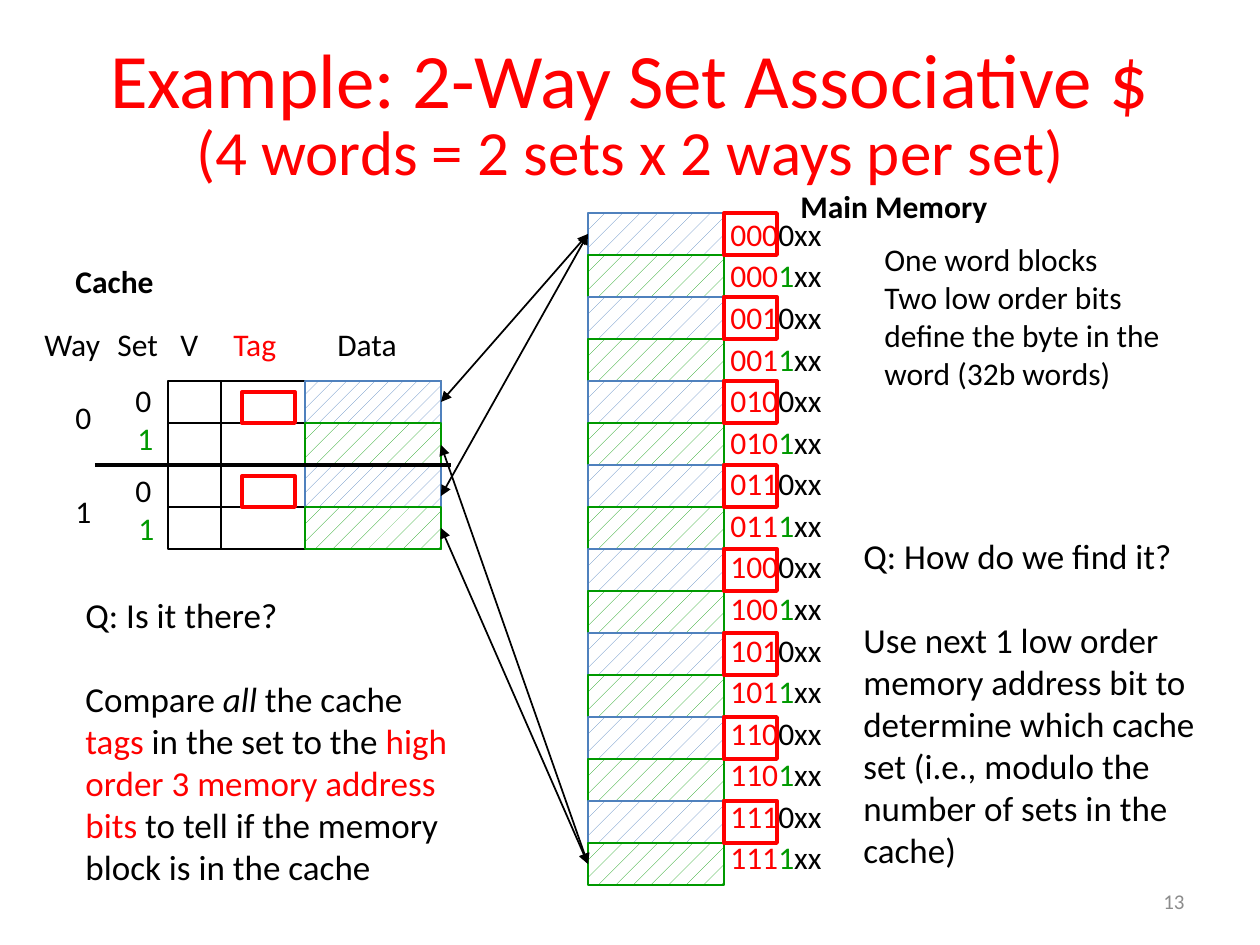
import pptx
import pptx.dml.color
import pptx.enum.dml
import pptx.enum.shapes
import pptx.enum.text
import pptx.oxml
import pptx.oxml.ns
import pptx.util

PX = 914400 // 126
THEME = {
    "font": "Calibri",
    "black": "000000", "red": "FF0000", "green": "009900",
    "blue": "4F81BD", "white": "FFFFFF", "gray": "8C8C8C",
    "title": 44, "subtitle": 36, "body": 20, "label": 18, "number": 12,
    "thin": 1, "thick": 2.25,
}
PATTERN = pptx.enum.dml.MSO_PATTERN
RED = {"color": "red"}
GREEN = {"color": "green"}

presentation = pptx.Presentation()
presentation.slide_width = 1260 * PX
presentation.slide_height = 945 * PX
slide = presentation.slides.add_slide(presentation.slide_layouts[6])
shapes = slide.shapes


def color_of(name):
    return pptx.dml.color.RGBColor.from_string(THEME[name])


def add_text(text, box, size="label", color="black", bold=None, align="LEFT",
             anchor="TOP", wrap=True, grow=True, spacing=None, gap=0):
    """text is a string, or a list of paragraphs made of (words, format) runs."""
    frame = shapes.add_textbox(*(value * PX for value in box)).text_frame
    frame.word_wrap = wrap
    if grow:
        frame.auto_size = pptx.enum.text.MSO_AUTO_SIZE.SHAPE_TO_FIT_TEXT
    frame.vertical_anchor = pptx.enum.text.MSO_ANCHOR[anchor]
    paragraphs = [[(text, {})]] if isinstance(text, str) else text
    for index, runs in enumerate(paragraphs):
        paragraph = frame.add_paragraph() if index else frame.paragraphs[0]
        paragraph.alignment = pptx.enum.text.PP_ALIGN[align]
        if spacing:
            paragraph.line_spacing = spacing
        if index and gap:
            paragraph.space_before = pptx.util.Pt(gap)
        for words, style in runs:
            if words == "\n":
                paragraph.add_line_break()
                continue
            run = paragraph.add_run()
            run.text = words
            run.font.name = THEME["font"]
            run.font.size = pptx.util.Pt(THEME[style.get("size", size)])
            run.font.color.rgb = color_of(style.get("color", color))
            run.font.bold = bold
            run.font.italic = style.get("italic")


def draw(box, color="black", width="thin", line=False, pattern=None, arrows=False):
    """Draw a rectangle (left, top, width, height) or a line (x1, y1, x2, y2)."""
    lengths = [value * PX for value in box]
    if line:
        shape = shapes.add_connector(pptx.enum.shapes.MSO_CONNECTOR.STRAIGHT, *lengths)
        pptx.oxml.ns.qn("a:effectLst")
    else:
        shape = shapes.add_shape(pptx.enum.shapes.MSO_SHAPE.RECTANGLE, *lengths)
        shape.shadow.inherit = False
        if pattern:
            shape.fill.patterned()
            shape.fill.pattern = pattern
            shape.fill.fore_color.rgb = color_of(color)
            shape.fill.back_color.rgb = color_of("white")
        else:
            shape.fill.background()
    shape.line.color.rgb = color_of(color)
    shape.line.width = pptx.util.Pt(THEME[width])
    if line:
        outline = shape.line._get_or_add_ln()
        for end in ("headEnd", "tailEnd") if arrows else ():
            outline.append(pptx.oxml.parse_xml(
                f'<a:{end} {pptx.oxml.ns.nsdecls("a")} type="triangle"/>'))
        shape._element.spPr.append(pptx.oxml.parse_xml(
            f'<a:effectLst {pptx.oxml.ns.nsdecls("a")}/>'))


# Title
add_text([[("Example: 2-Way Set Associative $", {}), ("\n", {}),
           ("(4 words = 2 sets x 2 ways per set)", {"size": "subtitle"})]],
         (63, 38, 1134, 158), size="title", color="red", align="CENTER",
         anchor="MIDDLE", spacing=0.85, grow=False)

# Shared grid
ROW = 42
DATA_WIDTH = 136
MEMORY_LEFT, MEMORY_TOP, MEMORY_ROWS = 588, 213, 16
MEMORY_RIGHT = MEMORY_LEFT + DATA_WIDTH
MEMORY_BOTTOM = MEMORY_TOP + MEMORY_ROWS * ROW
CACHE_TOP, CACHE_ROWS = 381, 4
DATA_LEFT = 305
DATA_RIGHT = DATA_LEFT + DATA_WIDTH

# Main memory: ruled frame, then striped word blocks
for row in range(MEMORY_ROWS + 1):
    y = MEMORY_TOP + row * ROW
    draw((MEMORY_LEFT, y, MEMORY_RIGHT, y), line=True)
for x in (MEMORY_LEFT, MEMORY_RIGHT):
    draw((x, MEMORY_TOP, x, MEMORY_BOTTOM), line=True)
for row in range(MEMORY_ROWS):
    draw((MEMORY_LEFT, MEMORY_TOP + row * ROW, DATA_WIDTH, ROW),
         color="green" if row % 2 else "blue", pattern=PATTERN.PERCENT_5)

# Cache: valid, tag and data columns
for left, width in ((168, 53), (221, 84), (DATA_LEFT, DATA_WIDTH)):
    draw((left, CACHE_TOP, width, CACHE_ROWS * ROW))
    for row in range(1, CACHE_ROWS):
        y = CACHE_TOP + row * ROW
        draw((left, y, left + width, y), line=True)
for row in range(CACHE_ROWS):
    draw((DATA_LEFT, CACHE_TOP + row * ROW, DATA_WIDTH, ROW),
         color="green" if row % 2 else "blue",
         pattern=PATTERN.PERCENT_5 if row % 2 else PATTERN.PERCENT_10)
draw((95, CACHE_TOP + 2 * ROW, 451, CACHE_TOP + 2 * ROW), width="thick", line=True)

# Arrows between cache sets and memory blocks
for memory_y, cache_ys in ((234, (402, 496)), (864, (528, 445))):
    for cache_y in cache_ys:
        draw((MEMORY_LEFT, memory_y, DATA_RIGHT, cache_y), line=True, arrows=True)

# Memory addresses: tag bits, set bit, byte offset
addresses = []
for row in range(MEMORY_ROWS):
    tag = (f"{row // 2:03b}", RED)
    addresses.append([tag, ("1", GREEN), ("xx", {})] if row % 2 else [tag, ("0xx", {})])
add_text(addresses, (718, 205, 136, 684), spacing=1.1)

# Red frames around tags
for row in range(0, MEMORY_ROWS, 2):
    draw((MEMORY_RIGHT, MEMORY_TOP + row * ROW, 53, ROW), color="red", width="thick")
for row in range(0, CACHE_ROWS, 2):
    draw((242, CACHE_TOP + 11 + row * ROW, 53, 31), color="red", width="thick")

# Labels
for text, left, top, width, color, bold in (
        ("Cache", 63, 256, 120, "black", True),
        ("Main Memory", 788, 181, 227, "black", True),
        ("Way", 32, 319, 88, "black", None),
        ("Set", 105, 319, 73, "black", None),
        ("V", 168, 319, 47, "black", None),
        ("Tag", 221, 319, 69, "red", None),
        ("Data", 325, 319, 92, "black", None),
        ("0", 63, 392, 43, "black", None),
        ("1", 63, 486, 43, "black", None),
        ("0", 123, 375, 43, "black", None),
        ("1", 125, 413, 43, "green", None),
        ("0", 123, 465, 43, "black", None),
        ("1", 126, 503, 43, "green", None)):
    add_text(text, (left, top, width, 50), color=color, bold=bold, wrap=False)

# Explanations
add_text([[("One word blocks", {})],
          [("Two low order bits define the byte in the word (32b words)", {})]],
         (872, 234, 336, 165))
add_text([[("Q: How do we find it?", {})],
          [("Use next 1 low order memory address bit to determine which cache set "
            "(i.e., modulo the number of sets in the cache)", {})]],
         (851, 528, 378, 349), size="body", gap=24)
add_text([[("Q: Is it there?", {})],
          [("Compare ", {}), ("all", {"italic": True}), (" the cache ", {}),
           ("tags ", RED), ("in the set to the ", {}),
           ("high order 3 memory address bits", RED),
           (" to tell if the memory block is in the cache", {})]],
         (73, 587, 388, 310), size="body", gap=24)

# Slide number
add_text("13", (903, 876, 294, 50), size="number", color="gray", align="RIGHT",
         anchor="MIDDLE", grow=False)

presentation.save("out.pptx")
